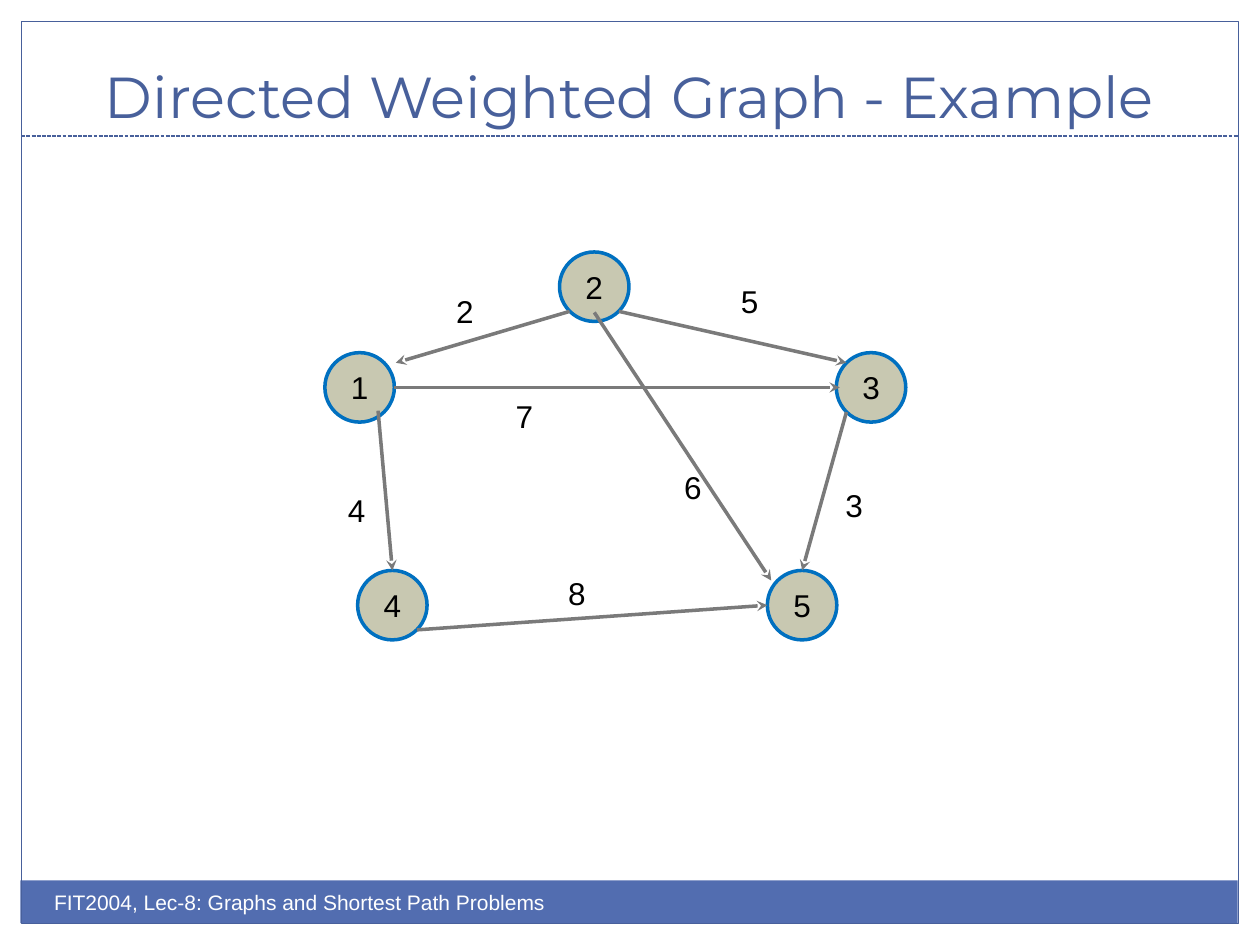
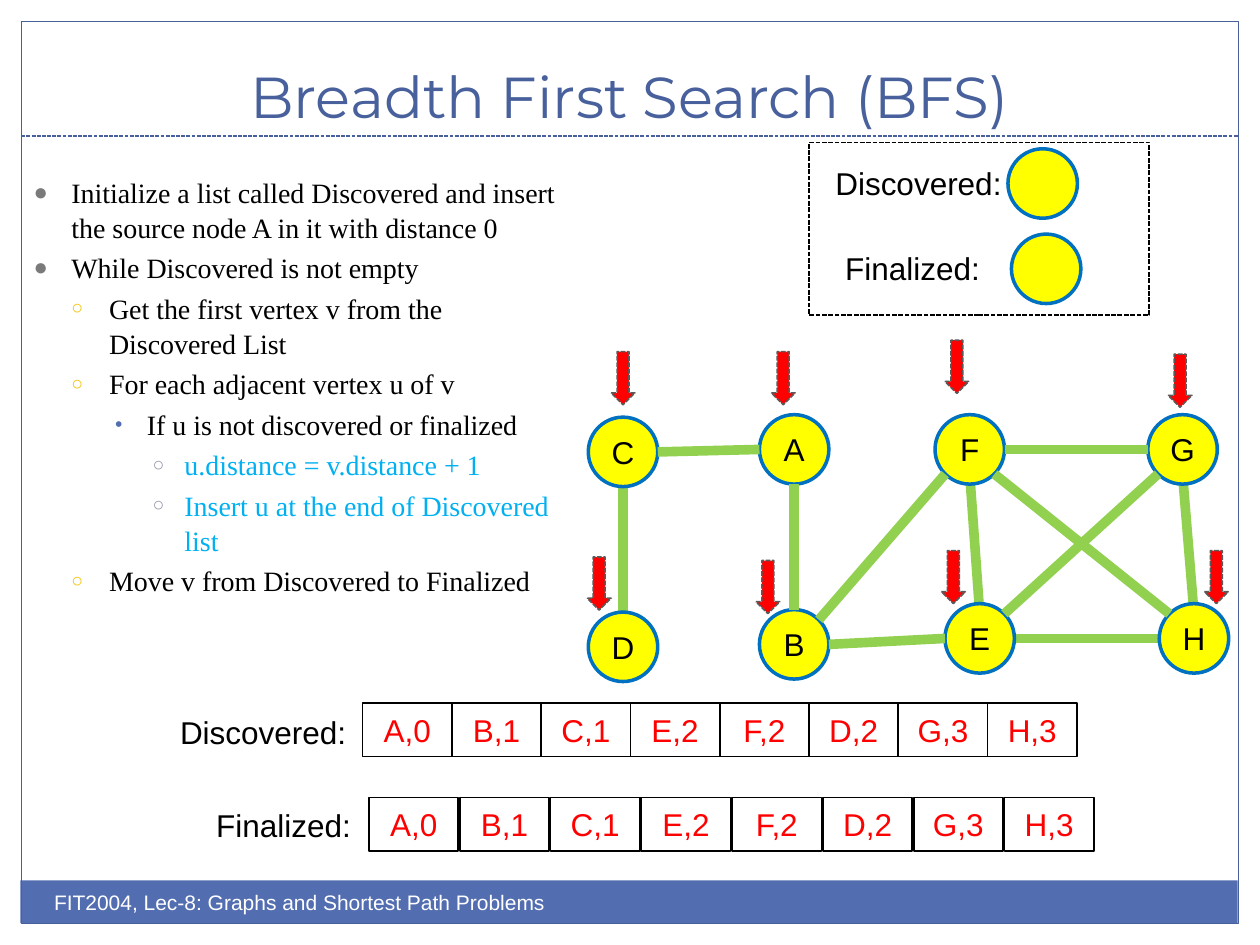
from lxml.etree import SubElement
from pptx import Presentation
from pptx.dml.color import RGBColor
from pptx.enum.dml import MSO_LINE
from pptx.enum.shapes import MSO_CONNECTOR, MSO_SHAPE
from pptx.enum.text import MSO_ANCHOR, PP_ALIGN
from pptx.oxml.ns import qn
from pptx.util import Cm, Pt

FOOTER = "FIT2004, Lec-8: Graphs and Shortest Path Problems"
GRAPH_TITLE = "Directed Weighted Graph - Example"
BFS_TITLE = "Breadth First Search (BFS)"

COLORS = {
    "title": "48609B", "band": "526DB0", "white": "FFFFFF", "black": "000000",
    "node": "C8C8B1", "outline": "0070C0", "arrow": "7A7A7A",
    "visited": "FFFF00", "edge": "92D050", "red": "FF0000",
    "pointer": "5A5A5A", "highlight": "00B0F0",
    "bullet0": "7A7A7A", "bullet1": "F5C201",
    "bullet2": "526DB0", "bullet3": "989AAC",
}

NODE_SIZE = 1.4
LABEL_HEIGHT = 1.02
CELL_WIDTH, CELL_HEIGHT = 1.8, 1.07
POINTER_WIDTH, POINTER_HEIGHT = 0.48, 1.07
INDENT = 0.76

SITES = {
    "N": (0, -1), "S": (0, 1), "W": (-1, 0), "E": (1, 0),
    "NW": (-0.71, -0.71), "NE": (0.71, -0.71),
    "SW": (-0.71, 0.71), "SE": (0.71, 0.71),
    "inner N": (0, -0.72), "inner S": (0, 0.74),
    "inner SE": (0.53, 0.67), "inner W": (-0.9, 0),
    "outer NE": (1.04, -0.71), "outer NW": (-0.89, -0.71),
}

WEIGHTED_NODES = {
    "2": (11.98, 5.78), "1": (7.25, 7.81), "3": (17.56, 7.81),
    "4": (7.91, 12.2), "5": (16.17, 12.2),
}
WEIGHTED_EDGES = [
    ("2", "SW", "1", "outer NE", "2", (9.37, 6.27)),
    ("2", "SE", "3", "NW", "5", (15.11, 6.07)),
    ("1", "inner SE", "4", "N", "4", (7.19, 10.29)),
    ("4", "SE", "5", "W", "8", (11.63, 11.96)),
    ("1", "E", "3", "inner W", "7", (10.57, 8.38)),
    ("3", "SW", "5", "N", "3", (17.22, 10.19)),
    ("2", "inner S", "5", "outer NW", "6", (13.97, 9.83)),
]

BFS_NODES = {
    "B": (16.01, 12.99), "A": (16.01, 9.06), "E": (19.75, 12.87),
    "F": (19.55, 9.06), "H": (24.07, 12.87), "G": (23.84, 9.06),
    "D": (12.56, 13.04), "C": (12.56, 9.11),
}
EDGES_BEHIND = [
    ("F", "inner S", "E", "inner N"), ("C", "S", "D", "inner N"),
    ("H", "inner N", "G", "inner S"), ("H", "inner W", "E", "E"),
]
EDGES_IN_FRONT = [
    ("A", "S", "B", "N"), ("E", "W", "B", "E"), ("B", "NE", "F", "SW"),
    ("E", "NE", "G", "SW"), ("H", "NW", "F", "SE"), ("F", "E", "G", "W"),
    ("C", "E", "A", "W"),
]
POINTERS = [
    (15.79, 7.09), (15.48, 11.3), (12.56, 7.09), (19.22, 11.1),
    (19.29, 6.86), (12.08, 11.23), (23.79, 7.14), (24.52, 11.1),
]
VISIT_ORDER = ["A,0", "B,1", "C,1", "E,2", "F,2", "D,2", "G,3", "H,3"]
LIST_ROWS = [
    ("Discovered:", (3.38, 14.25, 3.89), (7.31, 14.18), 1.8),
    ("Finalized:", (4.11, 16.13, 3.25), (7.44, 16.08), 1.83),
]
LEGEND_FRAME = (16.31, 2.87, 6.86, 3.48)
LEGEND = [
    ("Discovered:", (16.59, 3.18, 3.89), (21.02, 3.7)),
    ("Finalized:", (16.79, 4.9, 3.25), (21.09, 5.42)),
]
BULLETS = [("●", 85, 0.76), ("○", 70, 0.76), ("•", 75, 0.64), ("○", 70, 0.64)]
STEPS = [
    (0, "Initialize a list called Discovered and insert the source node A in it with distance 0"),
    (0, "While Discovered is not empty"),
    (1, "Get the first vertex v from the Discovered List"),
    (1, "For each adjacent vertex u of v"),
    (2, "If u is not discovered or finalized"),
    (3, "u.distance = v.distance + 1"),
    (3, "Insert u at the end of Discovered list"),
    (1, "Move v from Discovered to Finalized"),
]


def rgb(name):
    return RGBColor.from_string(COLORS[name])


def style_text(paragraph, size, color, font_name="Arial", align=PP_ALIGN.LEFT):
    paragraph.alignment = align
    for run in paragraph.runs:
        run.font.size = Pt(size)
        run.font.name = font_name
        run.font.color.rgb = rgb(color)


def add_text(slide, text, box, size=18, color="black", font_name="Arial",
             align=PP_ALIGN.LEFT, anchor=MSO_ANCHOR.TOP, wrap=False):
    shape = slide.shapes.add_textbox(*map(Cm, box))
    text_frame = shape.text_frame
    text_frame.word_wrap = wrap
    text_frame.vertical_anchor = anchor
    text_frame.text = text
    style_text(text_frame.paragraphs[0], size, color, font_name, align)


def add_box(slide, kind, box, fill=None, line=None, width=1, dash=None,
            text="", text_color="black"):
    shape = slide.shapes.add_shape(kind, *map(Cm, box))
    shape.shadow.inherit = False
    if fill:
        shape.fill.solid()
        shape.fill.fore_color.rgb = rgb(fill)
    else:
        shape.fill.background()
    if line:
        shape.line.color.rgb = rgb(line)
        shape.line.width = Pt(width)
        shape.line.dash_style = dash
    else:
        shape.line.fill.background()
    if text:
        text_frame = shape.text_frame
        text_frame.margin_left = text_frame.margin_right = 0
        text_frame.margin_top = text_frame.margin_bottom = 0
        text_frame.word_wrap = False
        text_frame.vertical_anchor = MSO_ANCHOR.MIDDLE
        text_frame.text = text
        style_text(text_frame.paragraphs[0], 18, text_color, align=PP_ALIGN.CENTER)


def add_line(slide, start, end, color, width, dash=None, arrow=False):
    connector = slide.shapes.add_connector(
        MSO_CONNECTOR.STRAIGHT, *map(Cm, (*start, *end)))
    connector.line.color.rgb = rgb(color)
    connector.line.width = Pt(width)
    connector.line.dash_style = dash
    if arrow:
        SubElement(connector.line._get_or_add_ln(), qn("a:tailEnd"), type="stealth")
    SubElement(connector._element.spPr, qn("a:effectLst"))


def add_node(slide, center, fill, text=""):
    box = (center[0] - NODE_SIZE / 2, center[1] - NODE_SIZE / 2, NODE_SIZE, NODE_SIZE)
    add_box(slide, MSO_SHAPE.OVAL, box, fill, "outline", 2, text=text)


def node_site(center, site):
    return [middle + NODE_SIZE / 2 * step for middle, step in zip(center, SITES[site])]


def add_edge(slide, nodes, edge, color, width, arrow=False):
    source, source_site, target, target_site = edge
    add_line(slide, node_site(nodes[source], source_site),
             node_site(nodes[target], target_site), color, width, arrow=arrow)


def add_base_slide(presentation, title):
    slide = presentation.slides.add_slide(presentation.slide_layouts[6])
    add_box(slide, MSO_SHAPE.RECTANGLE, (0.41, 17.75, 24.54, 0.86), "band")
    add_box(slide, MSO_SHAPE.RECTANGLE, (0.43, 0.43, 24.54, 18.19), line="title", width=0.75)
    add_line(slide, (0.43, 2.74), (24.97, 2.74), "title", 0.75, MSO_LINE.SQUARE_DOT)
    add_text(slide, title, (0.84, 0.64, 23.7, 2.11), 33, "title", "Montserrat",
             PP_ALIGN.CENTER, MSO_ANCHOR.BOTTOM, True)
    add_text(slide, FOOTER, (0.84, 17.81, 12.7, LABEL_HEIGHT), 12, "white", wrap=True)
    return slide


def add_bullet(paragraph, level):
    character, size, hanging = BULLETS[level]
    properties = paragraph._p.get_or_add_pPr()
    properties.set("marL", str(Cm(INDENT * (level + 1))))
    properties.set("indent", str(-Cm(hanging)))
    color = SubElement(properties, qn("a:buClr"))
    SubElement(color, qn("a:srgbClr"), val=COLORS[f"bullet{level}"])
    SubElement(properties, qn("a:buSzPct"), val=str(size * 1000))
    SubElement(properties, qn("a:buFont"), typeface="Arial")
    SubElement(properties, qn("a:buChar"), char=character)


def add_steps(slide):
    text_frame = slide.shapes.add_textbox(*map(Cm, (0.43, 3.38, 11.23, 9.96))).text_frame
    text_frame.word_wrap = True
    text_frame.text = "\n".join(text for _, text in STEPS)
    for index, (level, _) in enumerate(STEPS):
        paragraph = text_frame.paragraphs[index]
        add_bullet(paragraph, level)
        paragraph.level = level
        paragraph.line_spacing = 1.04
        paragraph.space_before = Pt(3.2 if index else 0)
        style_text(paragraph, 16, "highlight" if level == 3 else "black", "Times New Roman")


def build_weighted_graph(presentation):
    slide = add_base_slide(presentation, GRAPH_TITLE)
    for name, center in WEIGHTED_NODES.items():
        add_node(slide, center, "node", name)
    for *edge, weight, (x, y) in WEIGHTED_EDGES:
        add_edge(slide, WEIGHTED_NODES, edge, "arrow", 2, arrow=True)
        add_text(slide, weight, (x - 0.43, y - LABEL_HEIGHT / 2, 0.86, LABEL_HEIGHT),
                 align=PP_ALIGN.CENTER)


def build_bfs(presentation):
    slide = add_base_slide(presentation, BFS_TITLE)
    for edge in EDGES_BEHIND:
        add_edge(slide, BFS_NODES, edge, "edge", 5.5)
    for name, center in BFS_NODES.items():
        add_node(slide, center, "visited", name)
    for edge in EDGES_IN_FRONT:
        add_edge(slide, BFS_NODES, edge, "edge", 5.5)
    add_steps(slide)
    for label, label_box, (left, top), pitch in LIST_ROWS:
        add_text(slide, label, (*label_box, LABEL_HEIGHT))
        for index, entry in enumerate(VISIT_ORDER):
            box = (left + index * pitch, top, CELL_WIDTH, CELL_HEIGHT)
            add_box(slide, MSO_SHAPE.RECTANGLE, box, line="black",
                    text=entry, text_color="red")
    for x, top in POINTERS:
        box = (x - POINTER_WIDTH / 2, top, POINTER_WIDTH, POINTER_HEIGHT)
        add_box(slide, MSO_SHAPE.DOWN_ARROW, box, "red", "pointer", 0.9, MSO_LINE.SQUARE_DOT)
    for label, label_box, center in LEGEND:
        add_node(slide, center, "visited")
        add_text(slide, label, (*label_box, LABEL_HEIGHT))
    add_box(slide, MSO_SHAPE.RECTANGLE, LEGEND_FRAME, line="black",
            width=0.9, dash=MSO_LINE.SQUARE_DOT)


def main():
    presentation = Presentation()
    presentation.slide_width, presentation.slide_height = Cm(25.4), Cm(19.05)
    build_weighted_graph(presentation)
    build_bfs(presentation)
    presentation.save("out.pptx")


if __name__ == "__main__":
    main()
